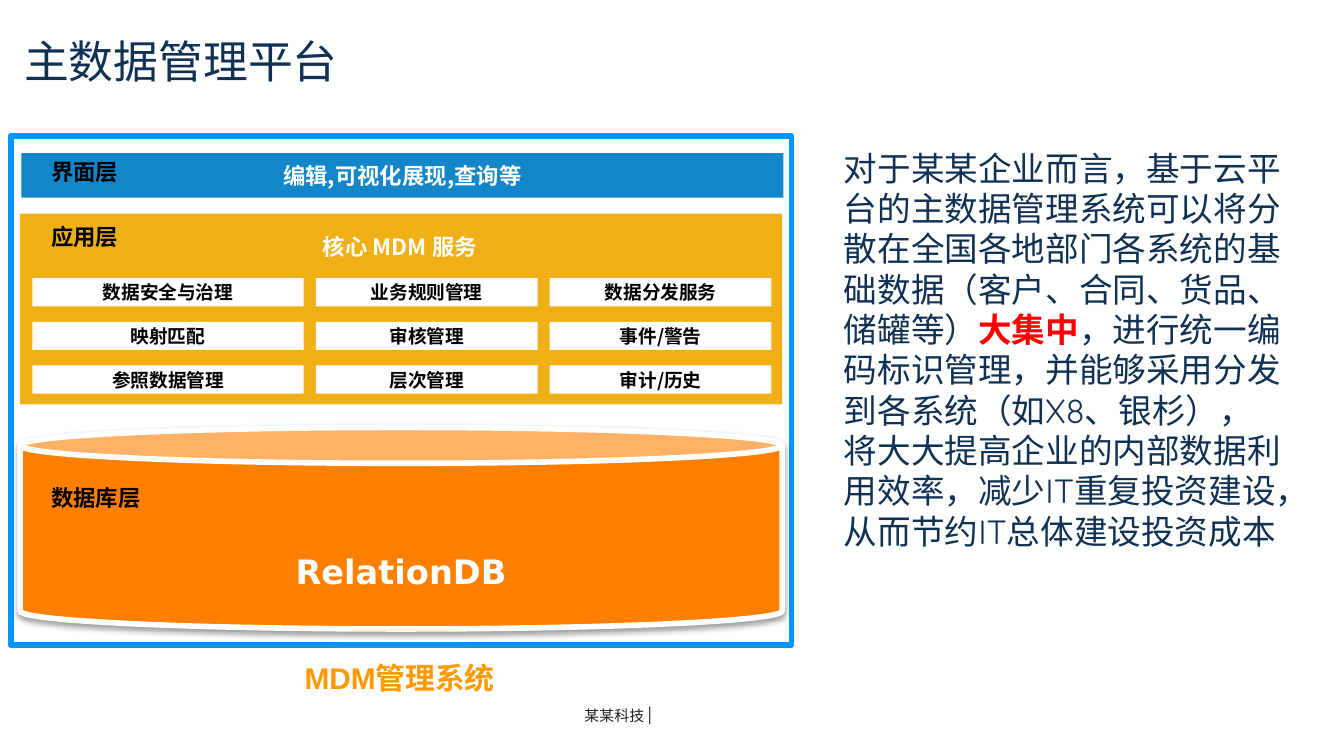
import pptx
import pptx.dml.color
import pptx.enum.shapes
import pptx.enum.text
import pptx.oxml
import pptx.oxml.ns
import pptx.util

Pt = pptx.util.Pt
RGBColor = pptx.dml.color.RGBColor
Shape = pptx.enum.shapes.MSO_SHAPE
Align = pptx.enum.text.PP_ALIGN
Anchor = pptx.enum.text.MSO_ANCHOR

NAVY = RGBColor(0x10, 0x31, 0x54)
INK = RGBColor(0x1E, 0x23, 0x27)
BLACK = RGBColor(0, 0, 0)
WHITE = RGBColor(0xFF, 0xFF, 0xFF)
RED = RGBColor(0xFF, 0, 0)
BLUE = RGBColor(0x12, 0x86, 0xC9)
FRAME_BLUE = RGBColor(0, 0x96, 0xFF)
GOLD = RGBColor(0xF1, 0xB0, 0x15)
ORANGE = RGBColor(0xFF, 0x7F, 0x01)
CAPTION_ORANGE = RGBColor(0xFF, 0x99, 0)

CJK_FONT = "Noto Sans CJK SC"
BODY_FONT = "Quicksand"

SERVICE_COLUMNS = [
    (145.4, ["数据安全与治理", "映射匹配", "参照数据管理"]),
    (118.8, ["业务规则管理", "审核管理", "层次管理"]),
    (118.8, ["数据分发服务", "事件/警告", "审计/历史"]),
]
SHADOW = (
    '<a:effectLst xmlns:a="http://schemas.openxmlformats.org/drawingml/2006/main">'
    '<a:outerShdw blurRad="39370" dist="20320" dir="5400000" rotWithShape="0">'
    '<a:srgbClr val="000000"><a:alpha val="38000"/></a:srgbClr>'
    '</a:outerShdw></a:effectLst>'
)


def format_run(run, size, color, font=CJK_FONT, bold=False):
    run.font.size = Pt(size)
    run.font.bold = bold
    run.font.color.rgb = color
    run.font.name = font
    east_asian = run.font._element.makeelement(pptx.oxml.ns.qn("a:ea"), {"typeface": CJK_FONT})
    run.font._element.append(east_asian)


def set_margins(text_frame, left, top, right, bottom):
    text_frame.margin_left, text_frame.margin_top = Pt(left), Pt(top)
    text_frame.margin_right, text_frame.margin_bottom = Pt(right), Pt(bottom)


def add_text(shapes, box, pieces, align=Align.LEFT, side_margin=7.2):
    shape = shapes.add_textbox(*map(Pt, box))
    text_frame = shape.text_frame
    text_frame.word_wrap = True
    set_margins(text_frame, side_margin, 3.6, side_margin, 3.6)
    paragraph = text_frame.paragraphs[0]
    paragraph.alignment = align
    for text, *style in pieces:
        run = paragraph.add_run()
        run.text = text
        format_run(run, *style)
    return paragraph


def add_block(shapes, box, fill=None, line=None, kind=Shape.RECTANGLE):
    shape = shapes.add_shape(kind, *map(Pt, box))
    shape.shadow.inherit = False
    if fill is None:
        shape.fill.background()
    else:
        shape.fill.solid()
        shape.fill.fore_color.rgb = fill
    if line is None:
        shape.line.fill.background()
    else:
        shape.line.color.rgb = line
        shape.line.width = Pt(3)
    return shape


def set_label(shape, text, size, color, font=CJK_FONT):
    text_frame = shape.text_frame
    text_frame.text = text
    text_frame.vertical_anchor = Anchor.MIDDLE
    paragraph = text_frame.paragraphs[0]
    paragraph.alignment = Align.CENTER
    format_run(paragraph.runs[0], size, color, font, True)


def add_application_layer(slide):
    shapes = slide.shapes.add_group_shape().shapes
    add_block(shapes, (10.8, 114.5, 408.2, 102.2), GOLD)
    heading = add_block(shapes, (16.6, 120.2, 395.3, 23.8), GOLD)
    set_label(heading, "核心 MDM 服务", 12, WHITE)
    left = 17.3
    for width, services in SERVICE_COLUMNS:
        for row, service in enumerate(services):
            cell = add_block(shapes, (left, 149 + row * 23.4, width, 15.1), WHITE)
            set_margins(cell.text_frame, 0, 0, 0, 0)
            set_label(cell, service, 10, BLACK)
        left += width + 6.5


def add_database(slide):
    database = add_block(slide.shapes, (10.8, 229, 408.2, 108), ORANGE, WHITE, Shape.CAN)
    database.adjustments[0] = 0.178
    properties = database._element.spPr
    properties.remove(properties.find(pptx.oxml.ns.qn("a:effectLst")))
    properties.append(pptx.oxml.parse_xml(SHADOW))
    set_label(database, "RelationDB", 18, WHITE, "DejaVu Sans")
    text_frame = database.text_frame
    text_frame.vertical_anchor = Anchor.BOTTOM
    text_frame.word_wrap = False
    set_margins(text_frame, 7.2, 3.6, 7.2, 10.8)


def main():
    presentation = pptx.Presentation()
    presentation.slide_width, presentation.slide_height = Pt(720), Pt(405)
    slide = presentation.slides.add_slide(presentation.slide_layouts[6])
    shapes = slide.shapes

    footer = add_text(shapes, (306, 369.4, 118.8, 23), [
        ("某某科技 ", 8, INK, BODY_FONT), ("|", 10, INK, BODY_FONT)])
    footer.line_spacing = 1.3
    add_text(shapes, (5.8, 14.4, 480, 36), [("主数据管理平台", 24, NAVY, BODY_FONT)])

    interface = add_block(shapes, (11.5, 82.1, 408.2, 23.8), BLUE)
    set_label(interface, "编辑,可视化展现,查询等", 12, WHITE)
    add_block(shapes, (5.8, 72.7, 418.3, 272.9), line=FRAME_BLUE)
    add_application_layer(slide)
    add_database(slide)
    for top, layer in [(81.4, "界面层"), (115.9, "应用层"), (255.6, "数据库层")]:
        add_text(shapes, (27.4, top, 84, 21.6), [(layer, 12, BLACK, CJK_FONT, True)],
                 side_margin=0)
    add_text(shapes, (131, 350, 166.3, 26.6),
             [("MDM管理系统", 16, CAPTION_ORANGE, "Arial", True)], Align.CENTER)

    add_text(shapes, (445, 75.6, 249.8, 225.4), [
        ("对于某某企业而言，基于云平台的主数据管理系统可以将分散在全国各地部门各系统的"
         "基础数据（客户、合同、货品、储罐等）", 18, NAVY, BODY_FONT),
        ("大集中", 18, RED, BODY_FONT, True),
        ("，进行统一编码标识管理，并能够采用分发到各系统（如X8、银杉），将大大提高企业的"
         "内部数据利用效率，减少IT重复投资建设，从而节约IT总体建设投资成本",
         18, NAVY, BODY_FONT),
    ])
    presentation.save("out.pptx")


if __name__ == "__main__":
    main()
